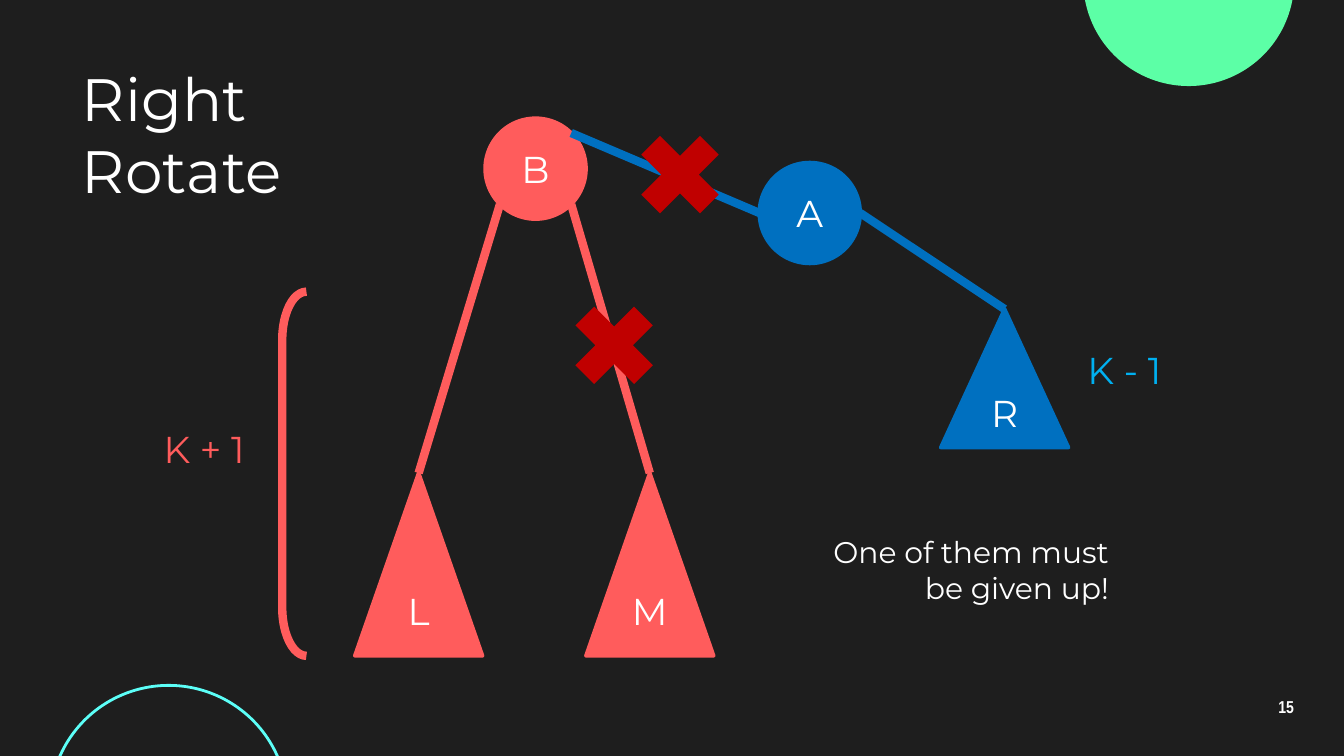
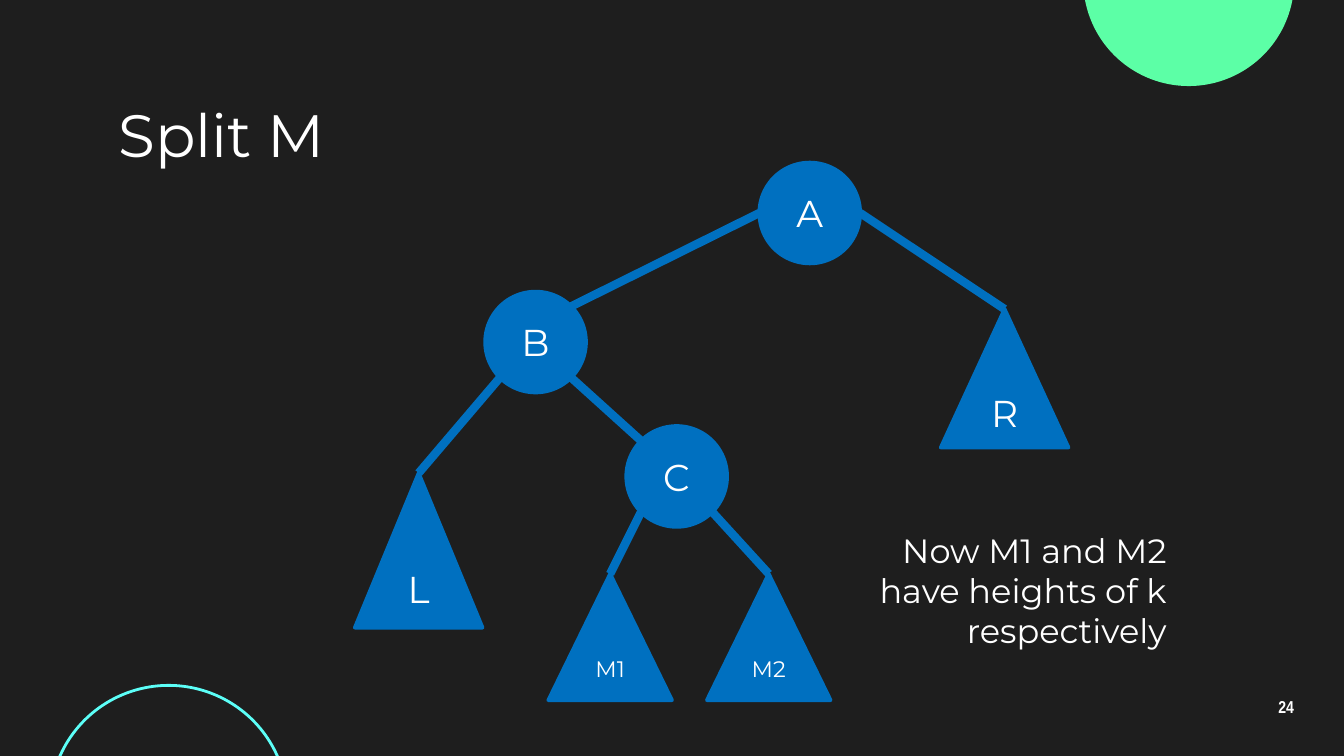
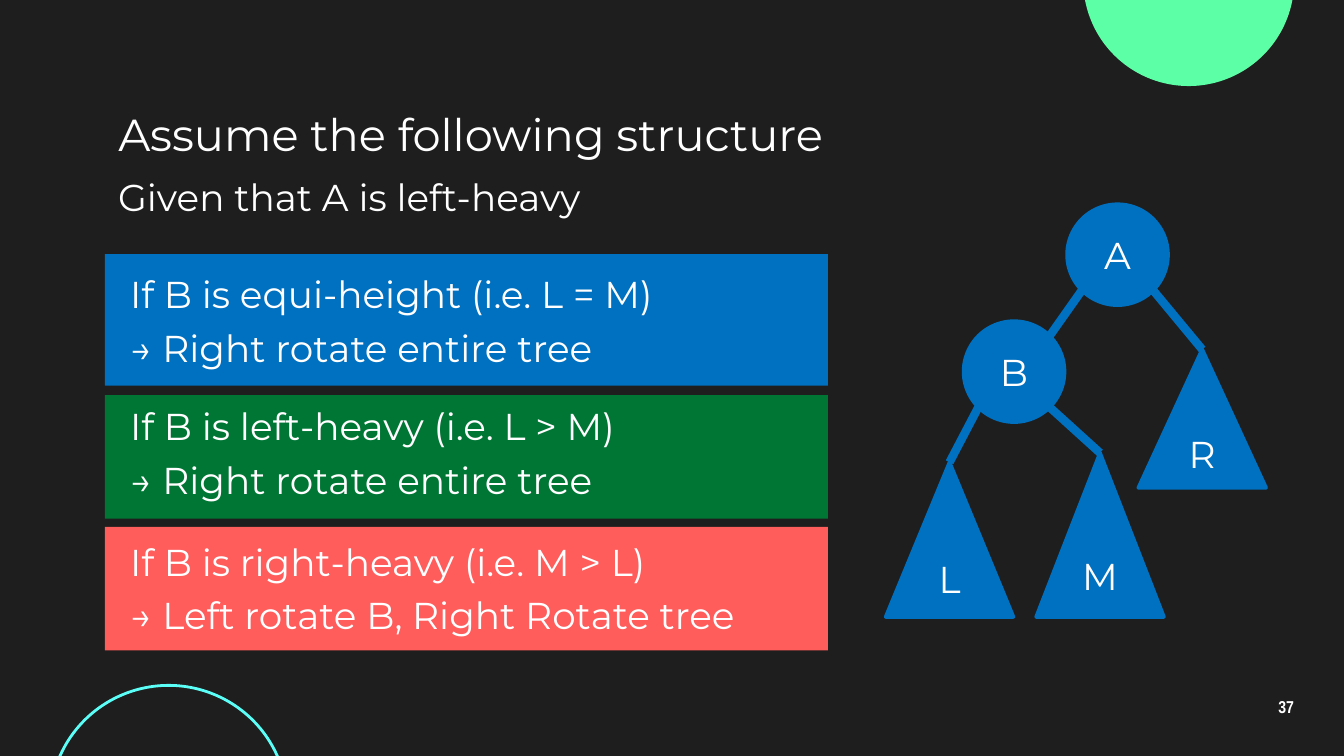
from math import sqrt
from pptx import Presentation
from pptx.dml.color import RGBColor
from pptx.enum.shapes import MSO_CONNECTOR, MSO_SHAPE
from pptx.enum.text import MSO_ANCHOR, MSO_AUTO_SIZE, PP_ALIGN
from pptx.oxml.ns import qn
from pptx.util import Inches, Pt
from lxml.etree import SubElement

COLORS = {
    "bg": "1E1E1E", "white": "FFFFFF", "mint": "5CFFA6", "aqua": "5CFFF8",
    "blue": "0070C0", "red": "FF5C5C", "green": "007635", "cross": "C00000",
    "sky": "00B0F0",
}
FONT = "Montserrat"
NODE = 0.75
DIAG = NODE / 2 / sqrt(2)
SITES = {
    "left": (-NODE / 2, 0), "right": (NODE / 2, 0),
    "nw": (-DIAG, -DIAG), "ne": (DIAG, -DIAG),
    "sw": (-DIAG, DIAG), "se": (DIAG, DIAG),
}


def rgb(name):
    return RGBColor.from_string(COLORS[name])


def write(tf, text, size, color="white", align=PP_ALIGN.LEFT, font=FONT, bold=False):
    p = tf.paragraphs[0]
    p.text = text
    p.alignment = align
    for r in p.runs:
        for key, value in {"name": font, "size": Pt(size), "bold": bold}.items():
            setattr(r.font, key, value)
        r.font.color.rgb = rgb(color)
    return p


def frame(tf, inset=0.1, anchor=MSO_ANCHOR.TOP):
    formats = {
        "word_wrap": True, "auto_size": MSO_AUTO_SIZE.NONE, "vertical_anchor": anchor,
        "margin_left": Inches(0.1), "margin_right": Inches(0.1),
        "margin_top": Inches(inset), "margin_bottom": Inches(inset),
    }
    for key, value in formats.items():
        setattr(tf, key, value)


def add_text(s, box, text, size, inset=0.1, anchor=MSO_ANCHOR.TOP, **style):
    tf = s.shapes.add_textbox(*map(Inches, box)).text_frame
    frame(tf, inset, anchor)
    return write(tf, text, size, **style)


def add_shape(s, kind, box, fill=None, line=None, width=2):
    sp = s.shapes.add_shape(kind, *map(Inches, box))
    sp.shadow.inherit = False
    if fill:
        sp.fill.solid()
        sp.fill.fore_color.rgb = rgb(fill)
    else:
        sp.fill.background()
    if line:
        sp.line.color.rgb = rgb(line)
        sp.line.width = Pt(width)
    else:
        sp.line.fill.background()
    return sp


def decorate(prs, s):
    fill = prs.slide_master.background.fill
    fill.solid()
    fill.fore_color.rgb = rgb("bg")
    disc = add_shape(s, MSO_SHAPE.OVAL, (8.06, -0.93, 1.57, 1.57), "mint")
    ring = add_shape(s, MSO_SHAPE.OVAL, (0.37, 5.1, 1.77, 1.77), None, "aqua", 1.5)
    for sp in (disc, ring):
        s.slide_layout.shapes._spTree.append(sp._element)


def add_slide(prs, title, number, size=32, left=0.78):
    s = prs.slides.add_slide(prs.slide_layouts[5])
    sp = s.shapes.title
    sp.left, sp.top, sp.width, sp.height = map(Inches, (left, 0.74, 8.44, 0.51))
    frame(sp.text_frame, anchor=MSO_ANCHOR.MIDDLE)
    write(sp.text_frame, title, size)
    p = add_text(s, (9.27, 5.1, 0.6, 0.34), str(number), 9.2, anchor=MSO_ANCHOR.MIDDLE,
                 align=PP_ALIGN.CENTER, font="Arial Narrow", bold=True)
    p.line_spacing = 0.9
    return s


def add_label(sp, text, size=20):
    sp.text_frame.vertical_anchor = MSO_ANCHOR.MIDDLE
    write(sp.text_frame, text, size, align=PP_ALIGN.CENTER)


def draw_tree(s, left, top, nodes, subtrees, edges, red=""):
    def color(name):
        return "red" if name in red else "blue"

    def point(name, site):
        if name in nodes:
            x, y = nodes[name]
            dx, dy = SITES[site]
            return left + x + NODE / 2 + dx, top + y + NODE / 2 + dy
        x, y, w, h = subtrees[name]
        return left + x + w / 2, top + y

    for name, (x, y) in nodes.items():
        tint = color(name)
        add_label(add_shape(s, MSO_SHAPE.OVAL, (left + x, top + y, NODE, NODE), tint, tint), name)
    for name, (x, y, w, h) in subtrees.items():
        tint = color(name)
        sp = add_shape(s, MSO_SHAPE.ISOSCELES_TRIANGLE, (left + x, top + y, w, h), tint, tint)
        add_label(sp, name, 20 if len(name) == 1 else 12)
    for start, site, end, end_site in edges:
        ends = point(start, site) + point(end, end_site)
        line = s.shapes.add_connector(MSO_CONNECTOR.STRAIGHT, *map(Inches, ends))
        line.line.color.rgb = rgb(color(end))
        line.line.width = Pt(4.5)
        SubElement(line._element.spPr, qn("a:effectLst"))


def draw_crosses(s, left, top, places):
    for x, y in places:
        add_shape(s, MSO_SHAPE.MATH_MULTIPLY, (left + x, top + y, 0.84, 0.84), "cross")


def draw_height(s, left, top):
    sp = add_shape(s, MSO_SHAPE.LEFT_BRACKET, (left + 1.02, top, 0.18, 2.71), None, "red", 4.5)
    sp.adjustments[0] = 1.99
    add_text(s, (left, top + 0.9, 0.84, 0.51), "K + 1", 20, color="red", align=PP_ALIGN.RIGHT)


def draw_case(s, left, top, height, fill, inset, lines):
    add_shape(s, MSO_SHAPE.RECTANGLE, (left, top, 5.38, height), fill)
    for i, text in enumerate(lines):
        add_text(s, (left + 0.09, top + inset + 0.4 * i, 5.48, 0.44), text, 20, inset=0.05)


def rotate_slide(prs):
    s = add_slide(prs, "Right\vRotate", 15, left=0.51)
    decorate(prs, s)
    left, top = 2.64, 0.88
    draw_tree(
        s, left, top,
        {"B": (0.97, 0), "A": (3.01, 0.33)},
        {"L": (0, 2.64, 0.95, 1.36), "M": (1.72, 2.64, 0.95, 1.36), "R": (4.36, 1.42, 0.95, 1.03)},
        [("B", "ne", "A", "left"), ("B", "sw", "L", "top"),
         ("B", "se", "M", "top"), ("A", "right", "R", "top")],
        red="BLM")
    draw_height(s, 1.08, 2.17)
    add_text(s, (7.9, 2.48, 0.84, 0.51), "K - 1", 20, color="sky", align=PP_ALIGN.RIGHT)
    draw_crosses(s, left, top, [(1.51, 1.27), (2, 0)])
    add_text(s, (5.86, 3.87, 2.49, 0.51), "One of them must be given up!", 16, align=PP_ALIGN.RIGHT)


def split_slide(prs):
    s = add_slide(prs, "Split M", 24)
    draw_tree(
        s, 2.64, 1.21,
        {"B": (0.97, 0.96), "A": (3.01, 0), "C": (2.02, 1.96)},
        {"L": (0, 2.31, 0.95, 1.15), "M1": (1.44, 3.06, 0.92, 0.94),
         "M2": (2.62, 3.06, 0.92, 0.94), "R": (4.36, 1.09, 0.95, 1.03)},
        [("A", "left", "B", "ne"), ("A", "right", "R", "top"), ("B", "sw", "L", "top"),
         ("B", "se", "C", "nw"), ("C", "sw", "M1", "top"), ("C", "se", "M2", "top")])
    add_text(s, (6.25, 3.84, 2.53, 0.51), "Now M1 and M2 have heights of k respectively", 18,
             align=PP_ALIGN.RIGHT)


def cases_slide(prs):
    s = add_slide(prs, "Assume the following structure", 37, size=24)
    add_text(s, (0.78, 1.25, 5.48, 0.44), "Given that A is left-heavy", 20, inset=0.05)
    cases = [
        (1.89, 0.98, "blue", 0.08,
         ("If B is equi-height (i.e. L = M)", "→ Right rotate entire tree")),
        (2.94, 0.92, "green", 0.01,
         ("If B is left-heavy (i.e. L > M)", "→ Right rotate entire tree")),
        (3.92, 0.92, "red", 0.04,
         ("If B is right-heavy (i.e. M > L)", "→ Left rotate B, Right Rotate tree")),
    ]
    for case in cases:
        draw_case(s, 0.78, *case)
    draw_tree(
        s, 6.59, 1.52,
        {"B": (0.58, 0.87), "A": (1.35, 0)},
        {"L": (0, 1.92, 0.95, 1.15), "M": (1.12, 1.85, 0.95, 1.22), "R": (1.88, 1.08, 0.95, 1.03)},
        [("A", "sw", "B", "ne"), ("A", "se", "R", "top"),
         ("B", "sw", "L", "top"), ("B", "se", "M", "top")])


def main():
    prs = Presentation()
    prs.slide_width = Inches(10)
    prs.slide_height = prs.slide_width * 9 // 16
    for build in (rotate_slide, split_slide, cases_slide):
        build(prs)
    prs.save("out.pptx")


if __name__ == "__main__":
    main()
